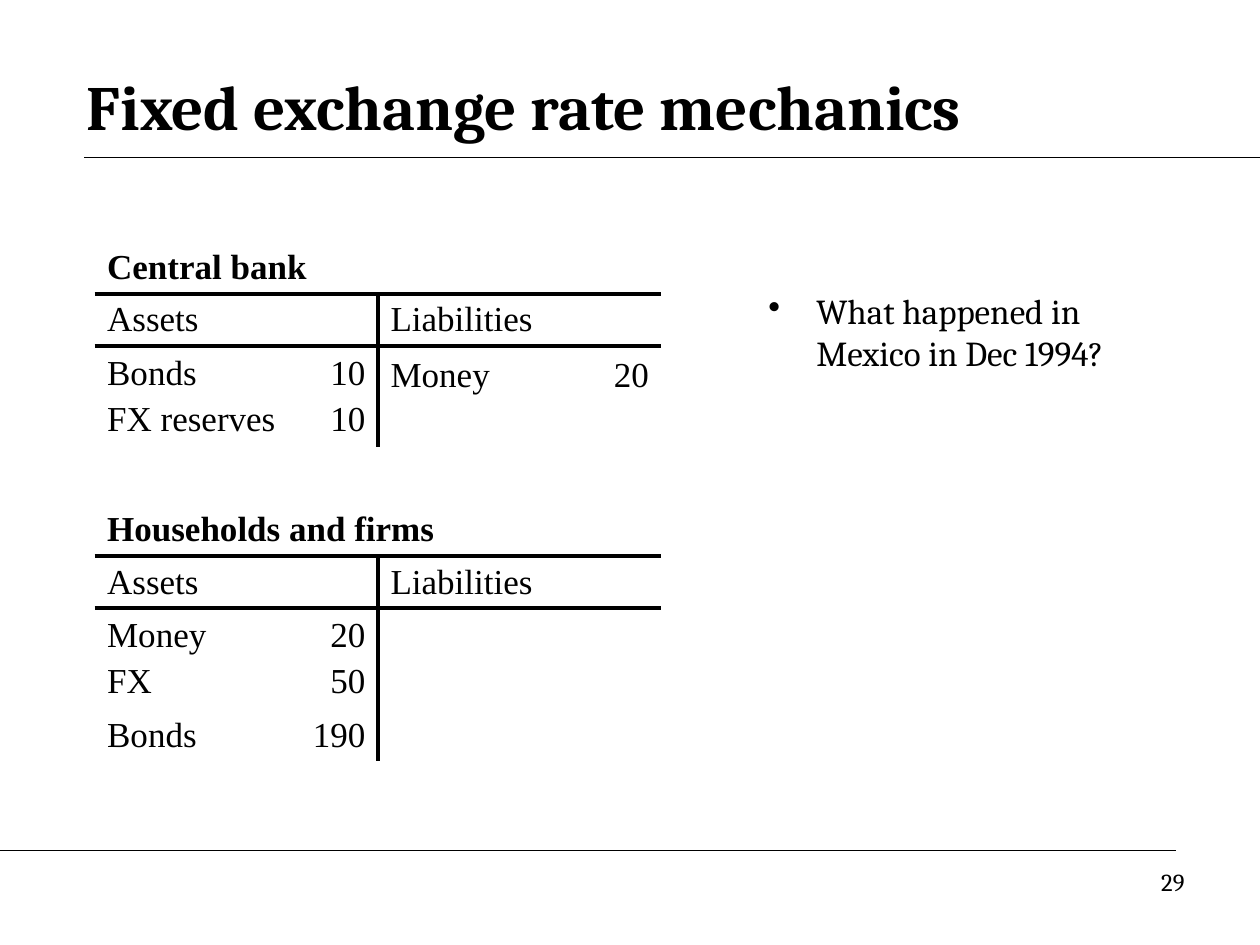
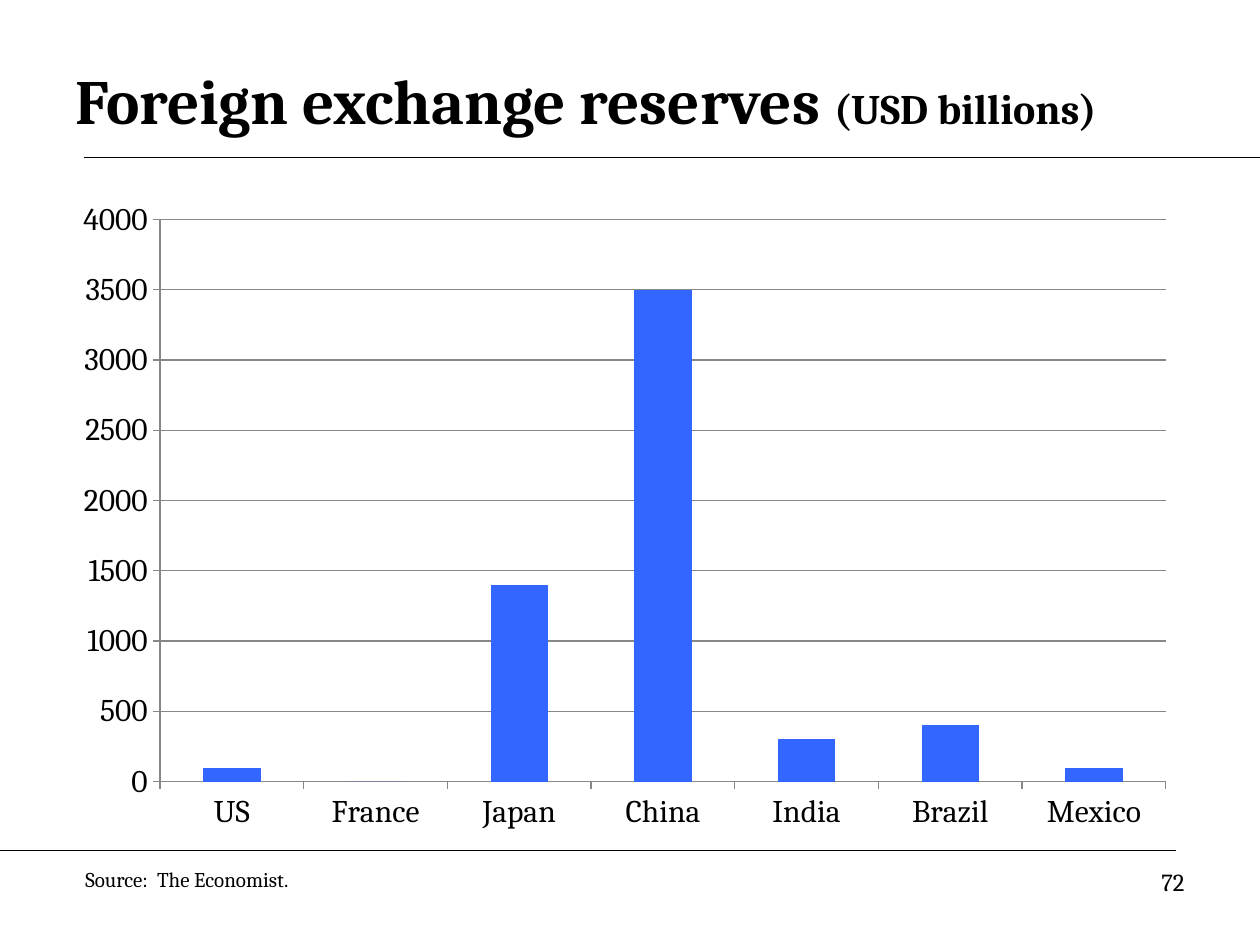
from lxml import etree
from pptx import Presentation
from pptx.chart.data import CategoryChartData
from pptx.dml.color import RGBColor
from pptx.enum.chart import XL_CHART_TYPE as ChartType, XL_TICK_MARK as Tick
from pptx.enum.shapes import MSO_CONNECTOR as Connector
from pptx.enum.text import MSO_ANCHOR as Anchor, MSO_AUTO_SIZE as AutoSize, PP_ALIGN as Align
from pptx.oxml import parse_xml
from pptx.oxml.ns import nsdecls, qn
from pptx.util import Inches, Pt

COLORS = {"ink": "000000", "paper": "FFFFFF", "bar": "3366FF", "grid": "878787"}
FONT, TABLE_FONT = "Cambria", "Times New Roman"
TITLE_ONLY = 5


def rgb(name):
    return RGBColor.from_string(COLORS[name])


class Deck:
    """Holds the shared style and the slide being built."""

    def __init__(self):
        self.prs = Presentation()
        self.prs.slide_width, self.prs.slide_height = Inches(10), Inches(7.5)
        self.s = None

    def style(self, p, size, bold=False, font=FONT, align=Align.LEFT):
        p.alignment = align
        for r in p.runs:
            r.font.name, r.font.size, r.font.bold = font, Pt(size), bold
            r.font.color.rgb = rgb("ink")

    # Slide frame: title, two rules and page number
    def slide(self, title, box, number, unit=None):
        self.s = self.prs.slides.add_slide(self.prs.slide_layouts[TITLE_ONLY])
        fill = self.s.background.fill
        fill.solid()
        fill.fore_color.rgb = rgb("paper")
        self.rule(0.67, 10, 1.25)
        self.rule(0, 9.33, 6.75)
        sp = self.s.shapes.title
        sp.left, sp.top, sp.width, sp.height = map(Inches, box)
        tf = sp.text_frame
        tf.auto_size, tf.vertical_anchor = AutoSize.NONE, Anchor.MIDDLE
        p = tf.paragraphs[0]
        p.text = title
        if unit:
            p.add_run().text = unit
        self.style(p, 36, bold=True)
        if unit:
            p.runs[-1].font.size = Pt(24)
        self.text(number, (7.17, 6.83, 2.33, 0.52), 14, align=Align.RIGHT)

    def rule(self, left, right, y):
        line = self.s.shapes.add_connector(
            Connector.STRAIGHT, Inches(left), Inches(y), Inches(right), Inches(y))
        line.line.color.rgb, line.line.width = rgb("ink"), Pt(0.75)
        etree.SubElement(line._element.spPr, qn("a:effectLst"))

    def text(self, words, box, size, bullet=False, align=Align.LEFT):
        sp = self.s.shapes.add_textbox(*map(Inches, box))
        tf = sp.text_frame
        tf.word_wrap = True
        p = tf.paragraphs[0]
        p.text = words
        if bullet:
            pPr = p._p.get_or_add_pPr()
            pPr.set("marL", str(Inches(0.38)))
            pPr.set("indent", str(-Inches(0.38)))
            etree.SubElement(pPr, qn("a:buChar"), char="•")
        self.style(p, size, align=align)

    # Balance sheet: heading, column heads, then rows of four cells
    def balance_sheet(self, heading, entries, top, widths, heights):
        rows = [[heading, "", "", ""], ["Assets", "", "Liabilities", ""], *entries]
        frame = self.s.shapes.add_table(
            len(rows), 4, Inches(0.75), Inches(top),
            Inches(sum(widths)), Inches(sum(heights)))
        table = frame.table
        table.first_row = table.horz_banding = False
        for col, width in zip(table.columns, widths):
            col.width = Inches(width)
        for row, height in zip(table.rows, heights):
            row.height = Inches(height)
        for i, row in enumerate(rows):
            for j, words in enumerate(row):
                cell = table.cell(i, j)
                self.borders(cell, i, j)
                cell.fill.background()
                on_top = i > 1 and j > 1
                cell.vertical_anchor = Anchor.TOP if on_top else Anchor.MIDDLE
                cell.margin_top = Inches(0.08 if on_top else 0.04)
                cell.margin_bottom = Inches(0.04)
                self.cell_text(cell, words, i == 0, j % 2 == 1)
        table.cell(0, 0).merge(table.cell(0, 3))
        for j in (0, 2):
            table.cell(1, j).merge(table.cell(1, j + 1))

    def cell_text(self, cell, words, bold, is_amount):
        if not words:  # a small end mark keeps empty cells from stretching the row
            p = cell.text_frame.paragraphs[0]
            etree.SubElement(p._p, qn("a:endParaRPr"), sz="1200")
            return
        cell.text_frame.text = words
        for k, p in enumerate(cell.text_frame.paragraphs):
            if k:
                p.space_before = Pt(4)
            self.style(p, 20, bold, TABLE_FONT, Align.RIGHT if is_amount else Align.LEFT)

    def borders(self, cell, i, j):
        """Rule below the heading and column heads, and down the middle."""
        drawn = {"lnL": i > 0 and j == 2, "lnR": i > 0 and j == 1,
                 "lnT": i in (1, 2), "lnB": i in (0, 1)}
        tcPr = cell._tc.get_or_add_tcPr()
        for side, on in drawn.items():
            ln = etree.SubElement(tcPr, qn(f"a:{side}"), w=str(Pt(2.25)))
            if on:
                fill = etree.SubElement(ln, qn("a:solidFill"))
                etree.SubElement(fill, qn("a:srgbClr"), val=COLORS["ink"])
            else:
                etree.SubElement(ln, qn("a:noFill"))

    def column_chart(self, values, box, plot):
        data = CategoryChartData()
        data.categories = list(values)
        data.add_series("Series 1", list(values.values()))
        chart = self.s.shapes.add_chart(
            ChartType.COLUMN_CLUSTERED, *map(Inches, box), data).chart
        chart.has_legend = chart.has_title = False
        font = chart.font
        font.name, font.size, font.color.rgb = FONT, Pt(18), rgb("ink")
        bars = chart.plots[0]
        bars.gap_width, bars.vary_by_categories = 150, False
        fill = bars.series[0].format.fill
        fill.solid()
        fill.fore_color.rgb = rgb("bar")
        # Axes and gridlines
        axis = chart.value_axis
        axis.minimum_scale, axis.maximum_scale, axis.major_unit = 0, 4000, 500
        axis.has_major_gridlines = True
        for lines in (axis, chart.category_axis, axis.major_gridlines):
            lines.format.line.color.rgb = rgb("grid")
            lines.format.line.width = Pt(0.75)
        for ax in (axis, chart.category_axis):
            ax.major_tick_mark, ax.minor_tick_mark = Tick.OUTSIDE, Tick.NONE
        # Fixed inner plot area
        area = chart._chartSpace.chart.plotArea
        for old in area.findall(qn("c:layout")):
            area.remove(old)
        modes = '<c:layoutTarget val="inner"/><c:xMode val="edge"/><c:yMode val="edge"/>'
        sizes = "".join(f'<c:{k} val="{v}"/>' for k, v in zip("xywh", plot))
        area.insert(0, parse_xml(
            f'<c:layout {nsdecls("c")}><c:manualLayout>{modes}{sizes}'
            '</c:manualLayout></c:layout>'))


def main():
    deck = Deck()

    # Balance sheets under a fixed exchange rate
    deck.slide("Fixed exchange rate mechanics", (0.59, 0.42, 8.67, 0.83), "29")
    deck.balance_sheet(
        "Central bank", [["Bonds\nFX reserves", "10\n10", "Money", "20"]],
        1.92, (1.67, 0.58, 1.12, 1.13), (0.4, 0.41, 0.77))
    deck.balance_sheet(
        "Households and firms",
        [["Money\nFX", "20\n50", "", ""], ["Bonds", "190", "", ""]],
        4, (1.48, 0.77, 1.12, 1.13), (0.4, 0.41, 0.77, 0.41))
    deck.text("What happened in Mexico in Dec 1994?", (6, 2.25, 3.42, 3.83), 20, bullet=True)

    # Reserves by country
    deck.slide("Foreign exchange reserves ", (0.5, 0.33, 9, 0.92), "72", "(USD billions)")
    reserves = {"US": 100, "France": 0, "Japan": 1400, "China": 3500,
                "India": 300, "Brazil": 400, "Mexico": 100}
    deck.column_chart(reserves, (0.65, 1.54, 8.87, 5.07), (0.07, 0.04, 0.9, 0.88))
    deck.text("Source:  The Economist.", (0.58, 6.83, 3, 0.3), 12)

    deck.prs.save("out.pptx")


if __name__ == "__main__":
    main()
